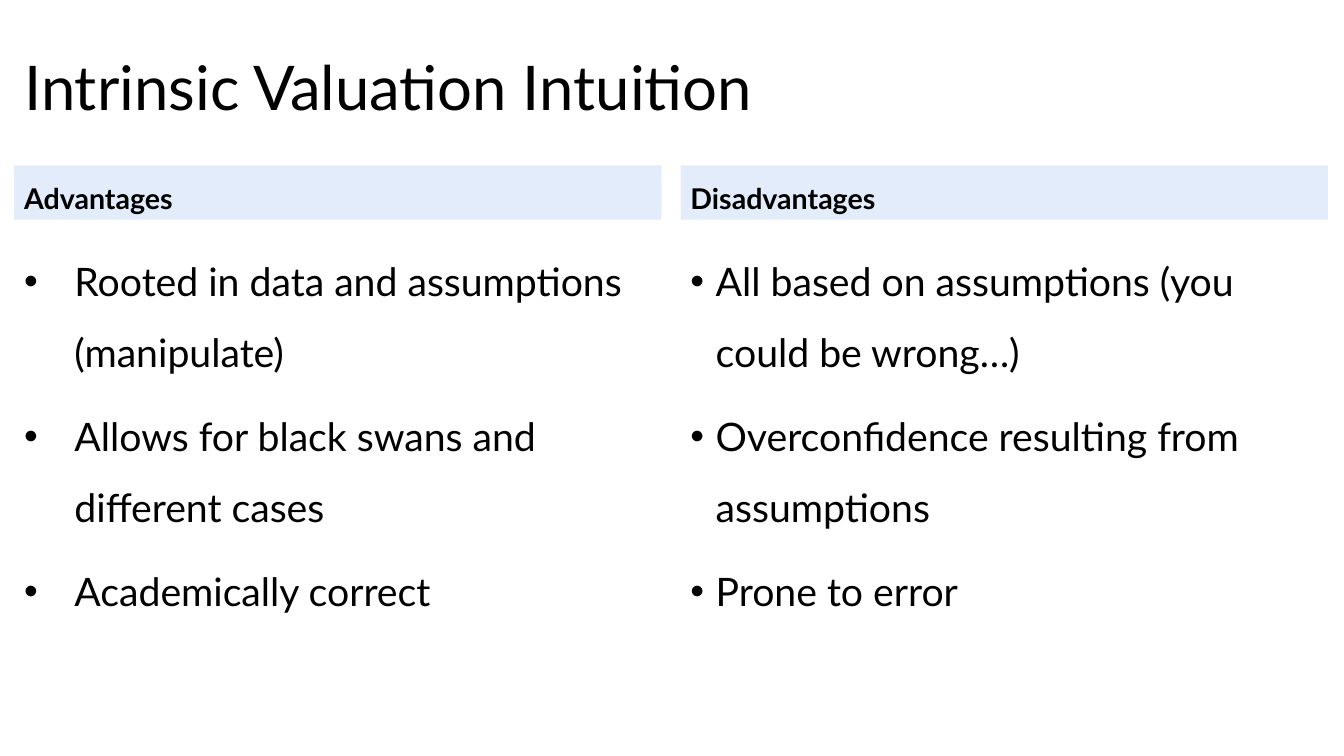
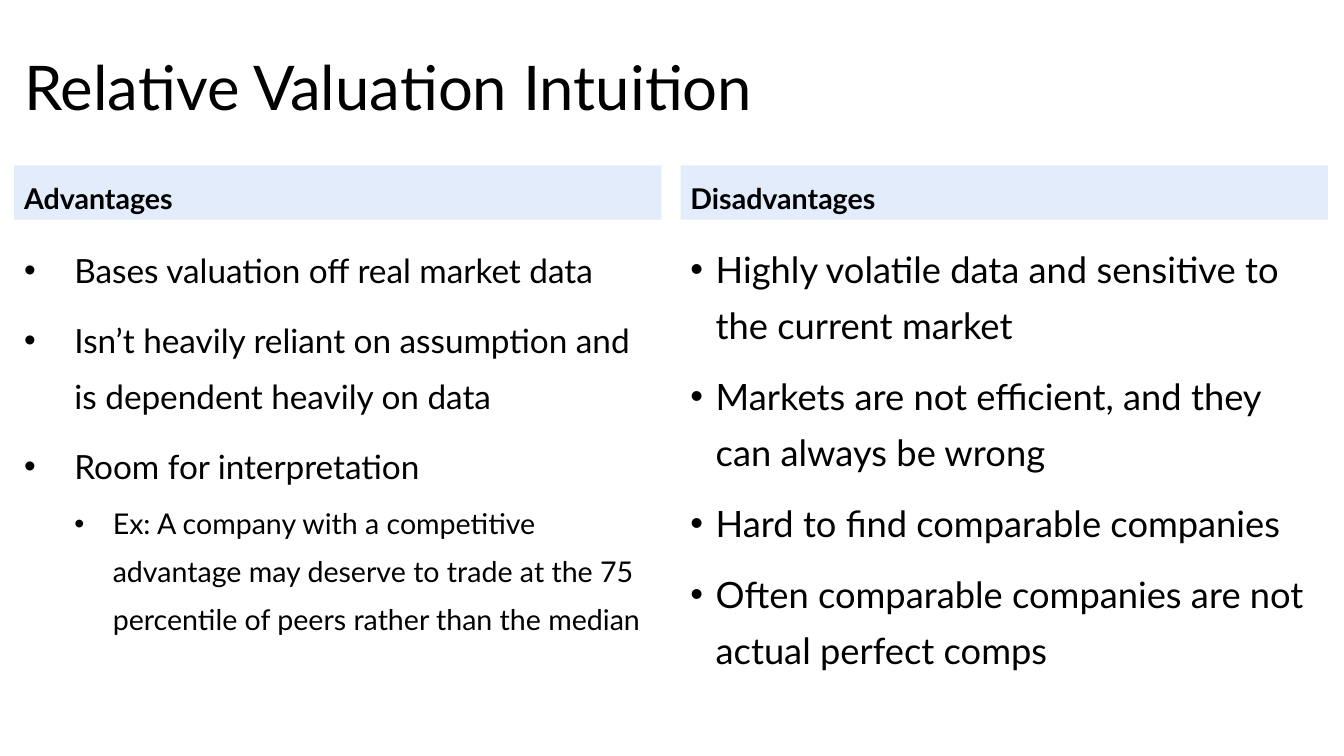
from lxml.etree import SubElement
from pptx import Presentation
from pptx.dml.color import RGBColor
from pptx.enum.shapes import MSO_SHAPE as Shape
from pptx.enum.text import MSO_ANCHOR as Anchor, MSO_AUTO_SIZE as Fit, PP_ALIGN as Align
from pptx.oxml.ns import qn
from pptx.util import Inches, Pt

# Shared look
HUE = {"ink": "000000", "band": "E3ECFB"}
FONT = "Lato"
WIDE, HIGH = 13.33, 7.5

# Grid: two columns, three rows (top, height)
LEFT, COL, GAP = 0.14, 6.42, 0.19
TITLE, BAND, BODY = (0.4, 1), (1.64, 0.54), (2.27, 4.5)

# Each level of a list: size factor and space before
SUB = 20.4 / 23.8
LEVELS = [(1, 10), (SUB, 5)]

# Each column: heading, text size, line spacing, (left, hang) by level, items (level, text)
NARROW = [(0.25, 0.25)]
BROAD = [(0.5, 0.5), (0.88, 0.38)]
SLIDES = [
    ("Intrinsic Valuation Intuition", [
        ("Advantages", 28, 1.5, BROAD, [
            (0, "Rooted in data and assumptions (manipulate)"),
            (0, "Allows for black swans and different cases"),
            (0, "Academically correct"),
        ]),
        ("Disadvantages", 28, 1.5, NARROW, [
            (0, "All based on assumptions (you could be wrong…)"),
            (0, "Overconfidence resulting from assumptions"),
            (0, "Prone to error"),
        ]),
    ]),
    ("Relative Valuation Intuition", [
        ("Advantages", 23.8, 1.4, BROAD, [
            (0, "Bases valuation off real market data"),
            (0, "Isn’t heavily reliant on assumption and is dependent heavily on data"),
            (0, "Room for interpretation"),
            (1, "Ex: A company with a competitive advantage may deserve to trade "
                "at the 75 percentile of peers rather than the median"),
        ]),
        ("Disadvantages", 25.9, 1.3, NARROW, [
            (0, "Highly volatile data and sensitive to the current market"),
            (0, "Markets are not efficient, and they can always be wrong"),
            (0, "Hard to find comparable companies"),
            (0, "Often comparable companies are not actual perfect comps"),
        ]),
    ]),
]


def tint(name):
    return RGBColor.from_string(HUE[name])


def cell(left, width, row):
    """Box of a grid cell, in slide units."""
    top, height = row
    return [Inches(n) for n in (left, top, width, height)]


def frame(shape, anchor):
    text = shape.text_frame
    text.word_wrap = True
    text.auto_size = Fit.NONE
    text.vertical_anchor = anchor
    return text


def style(para, size, lead, before=0, bold=False):
    para.alignment = Align.LEFT
    para.line_spacing = lead
    para.space_before = Pt(before)
    font = para.font
    font.name, font.size, font.bold = FONT, Pt(size), bold
    font.color.rgb = tint("ink")


def bullet(para, left, hang):
    props = para._p.get_or_add_pPr()
    props.set("marL", str(Inches(left)))
    props.set("indent", str(-Inches(hang)))
    color = SubElement(props, qn("a:buClr"))
    SubElement(color, qn("a:srgbClr"), val=HUE["ink"])
    SubElement(props, qn("a:buFont"), typeface="Arial")
    SubElement(props, qn("a:buChar"), char="•")


def head(slide, words):
    """Title across both columns."""
    title = slide.shapes.title
    title.left, title.top, title.width, title.height = cell(LEFT, 2 * COL + GAP, TITLE)
    text = frame(title, Anchor.MIDDLE)
    text.text = words
    style(text.paragraphs[0], 44, 0.9)


def band(slide, box, words):
    """Tinted strip with a column heading."""
    strip = slide.shapes.add_shape(Shape.RECTANGLE, *box)
    strip.shadow.inherit = False
    strip.fill.solid()
    strip.fill.fore_color.rgb = tint("band")
    strip.line.fill.background()
    text = frame(strip, Anchor.BOTTOM)
    text.text = words
    style(text.paragraphs[0], 20.4, 1.4, bold=True)


def points(slide, box, size, lead, steps, items):
    """Bulleted list below a band."""
    text = frame(slide.shapes.add_textbox(*box), Anchor.TOP)
    for i, (level, words) in enumerate(items):
        para = text.add_paragraph() if i else text.paragraphs[0]
        para.text, para.level = words, level
        bullet(para, *steps[level])
        scale, before = LEVELS[level]
        style(para, round(size * scale, 1), lead, before if i else 0)


def compare(deck, title, columns):
    """Slide that sets two lists side by side."""
    slide = deck.slides.add_slide(deck.slide_layouts[5])
    head(slide, title)
    for i, (name, *rest) in enumerate(columns):
        left = LEFT + i * (COL + GAP)
        band(slide, cell(left, COL, BAND), name)
        points(slide, cell(left, COL, BODY), *rest)


def main():
    deck = Presentation()
    deck.slide_width, deck.slide_height = Inches(WIDE), Inches(HIGH)
    for title, columns in SLIDES:
        compare(deck, title, columns)
    deck.save("out.pptx")


if __name__ == "__main__":
    main()
